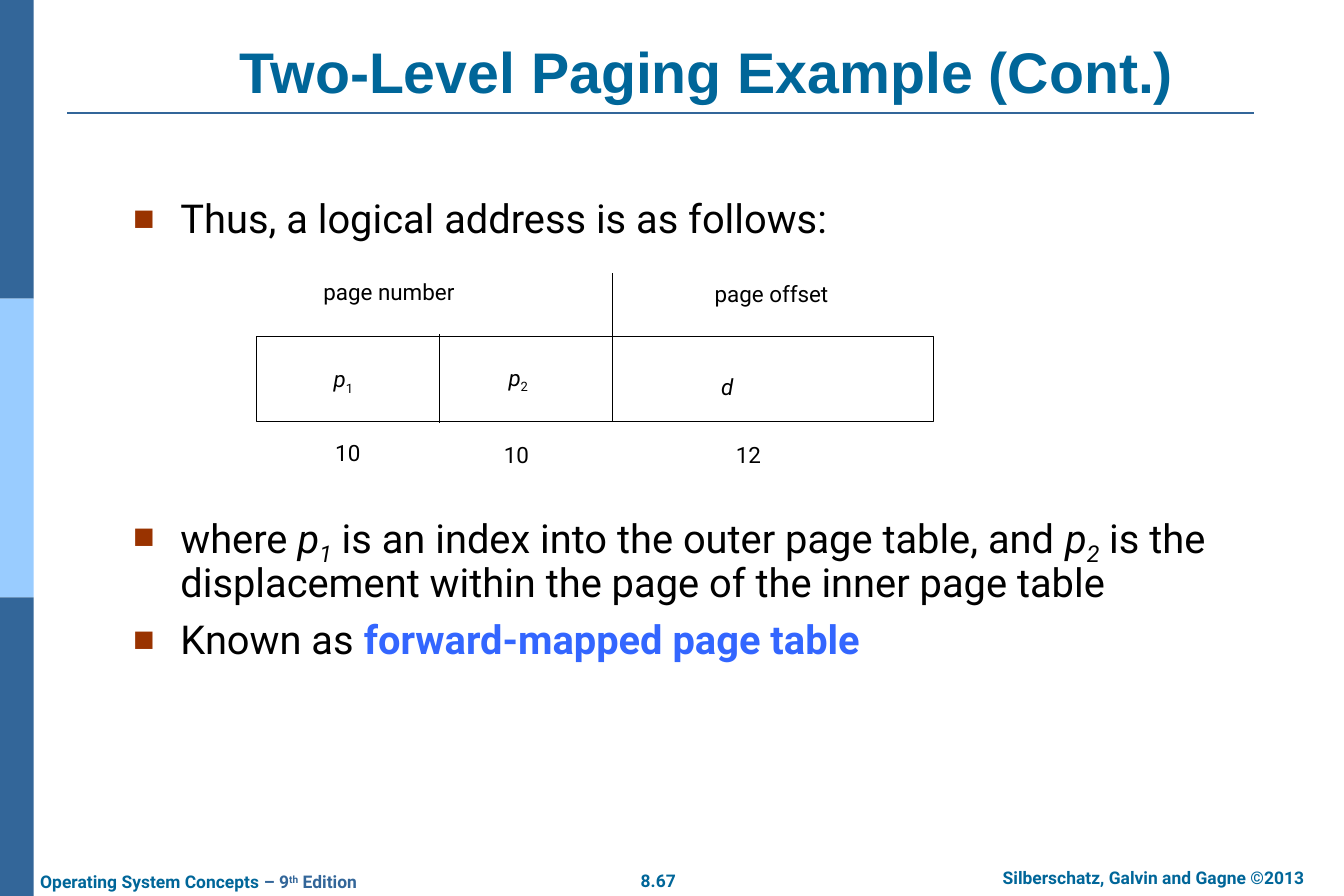
from lxml import etree
from pptx import Presentation
from pptx.dml.color import RGBColor
from pptx.enum.shapes import MSO_CONNECTOR, MSO_SHAPE
from pptx.enum.text import MSO_ANCHOR, PP_ALIGN
from pptx.oxml.ns import qn
from pptx.util import Pt

RECT, LINE = MSO_SHAPE.RECTANGLE, MSO_CONNECTOR.STRAIGHT
LEFT, MID = PP_ALIGN.LEFT, PP_ALIGN.CENTER
TOP, CENTER, BASE = MSO_ANCHOR.TOP, MSO_ANCHOR.MIDDLE, MSO_ANCHOR.BOTTOM

HEX = {"navy": "336699", "sky": "99CCFF", "teal": "006699", "rust": "993300",
       "blue": "3366FF", "black": "000000", "white": "FFFFFF"}
RGB = {name: RGBColor.from_string(code) for name, code in HEX.items()}

deck = Presentation()
deck.slide_width, deck.slide_height = Pt(1080), Pt(720)
slide = deck.slides.add_slide(deck.slide_layouts[6])
shapes = slide.shapes


def write(paras, box, size=18, font="Roboto", color="black", bold=False,
          align=MID, anchor=CENTER, bullet=False):
    """Each paragraph is a list of runs: (text, format changes)."""
    frame = shapes.add_textbox(*map(Pt, box)).text_frame
    frame.word_wrap = True
    frame.vertical_anchor = anchor
    frame.margin_left = frame.margin_right = Pt(10)
    frame.margin_top = frame.margin_bottom = Pt(5)
    for n, runs in enumerate(paras):
        para = frame.add_paragraph() if n else frame.paragraphs[0]
        para.alignment = align
        if bullet:
            para.line_spacing = 0.9
            if n:
                para.space_before = Pt(11.2)
            props = para._p.get_or_add_pPr()
            props.set("marL", str(Pt(38)))
            props.set("indent", str(-Pt(38)))
            tint = etree.SubElement(props, qn("a:buClr"))
            etree.SubElement(tint, qn("a:srgbClr"), val=HEX["rust"])
            etree.SubElement(props, qn("a:buSzPct"), val="90000")
            etree.SubElement(props, qn("a:buFont"), typeface="Arial")
            etree.SubElement(props, qn("a:buChar"), char="■")
        for text, style in runs:
            run = para.add_run()
            run.text = text
            run.font.name, run.font.size = font, Pt(size)
            run.font.bold = style.get("bold", bold)
            run.font.italic = style.get("italic", False)
            run.font.color.rgb = RGB[style.get("color", color)]
            if "shift" in style:
                run._r.get_or_add_rPr().set("baseline", str(style["shift"] * 1000))


def rule(x1, y1, x2, y2, color, width):
    line = shapes.add_connector(LINE, Pt(x1), Pt(y1), Pt(x2), Pt(y2))
    line.line.color.rgb = RGB[color]
    line.line.width = Pt(width)
    etree.SubElement(line._element.spPr, qn("a:effectLst"))


# Side band and title
for n, color in enumerate(["navy", "sky", "navy"]):
    band = shapes.add_shape(RECT, 0, Pt(240 * n), Pt(27), Pt(240))
    band.shadow.inherit = False
    band.fill.solid()
    band.fill.fore_color.rgb = RGB[color]
    band.line.fill.background()
rule(54, 90.5, 1008, 90.5, "navy", 1.5)
write([[("Two-Level Paging Example (Cont.)", {})]], (109.5, 29, 916.5, 60.5),
      size=46, font="Arial", color="teal", bold=True, anchor=BASE)

# Body text
ITAL = {"italic": True}
SUB = {"italic": True, "shift": -25}
first = [[("Thus, a logical address is as follows:", {})]]
rest = [
    [("where", {}), (" p", ITAL), ("1", SUB),
     (" is an index into the outer page table, and ", {}), ("p", ITAL), ("2", SUB),
     (" is the displacement within the page of the inner page table", {})],
    [("Known as ", {}),
     ("forward-mapped page table", {"color": "blue", "bold": True})],
]
for paras, top, high in [(first, 155, 45), (rest, 408, 130)]:
    write(paras, (97, top, 922.5, high), size=32, align=LEFT, anchor=TOP, bullet=True)

# Address box
frame = shapes.add_shape(RECT, Pt(206), Pt(270), Pt(544.5), Pt(68.4))
frame.shadow.inherit = False
frame.fill.solid()
frame.fill.fore_color.rgb = RGB["white"]
frame.line.color.rgb = RGB["black"]
frame.line.width = Pt(0.75)
rule(353, 268.5, 353, 340, "black", 0.75)
rule(492.5, 219.5, 492.5, 338.4, "black", 0.75)

# Labels, placed by their centres
LOW = {"shift": -25}
labels = [
    ([("page number", {})], 312.5, 234, 190),
    ([("page offset", {})], 620, 236, 164),
    ([("p", ITAL), ("1", LOW)], 276, 306, 58),
    ([("p", ITAL), ("2", LOW)], 416.5, 304.5, 58),
    ([("d", ITAL)], 584.5, 310.5, 50),
    ([("10", {})], 279.5, 364, 77),
    ([("10", {})], 415, 365.5, 77),
    ([("12", {})], 601.5, 365.5, 77),
]
for runs, x, y, wide in labels:
    write([runs], (x - wide / 2, y - 16, wide, 32))

# Footer
navy = {"color": "navy"}
edition = [("Operating System Concepts", {}), (" – 9", navy),
           ("th", {"color": "navy", "shift": 30}), (" Edition", navy)]
footer = [
    (edition, 22.3, 695, 294, LEFT),
    ([("8.67", {})], 504, 694, 50, MID),
    ([("Silberschatz, Galvin and Gagne ©2013", {})], 777, 692, 300, MID),
]
for runs, x, y, wide, align in footer:
    write([runs], (x, y, wide, 26), size=14, color="teal", bold=True,
          align=align, anchor=TOP)

deck.save("out.pptx")
